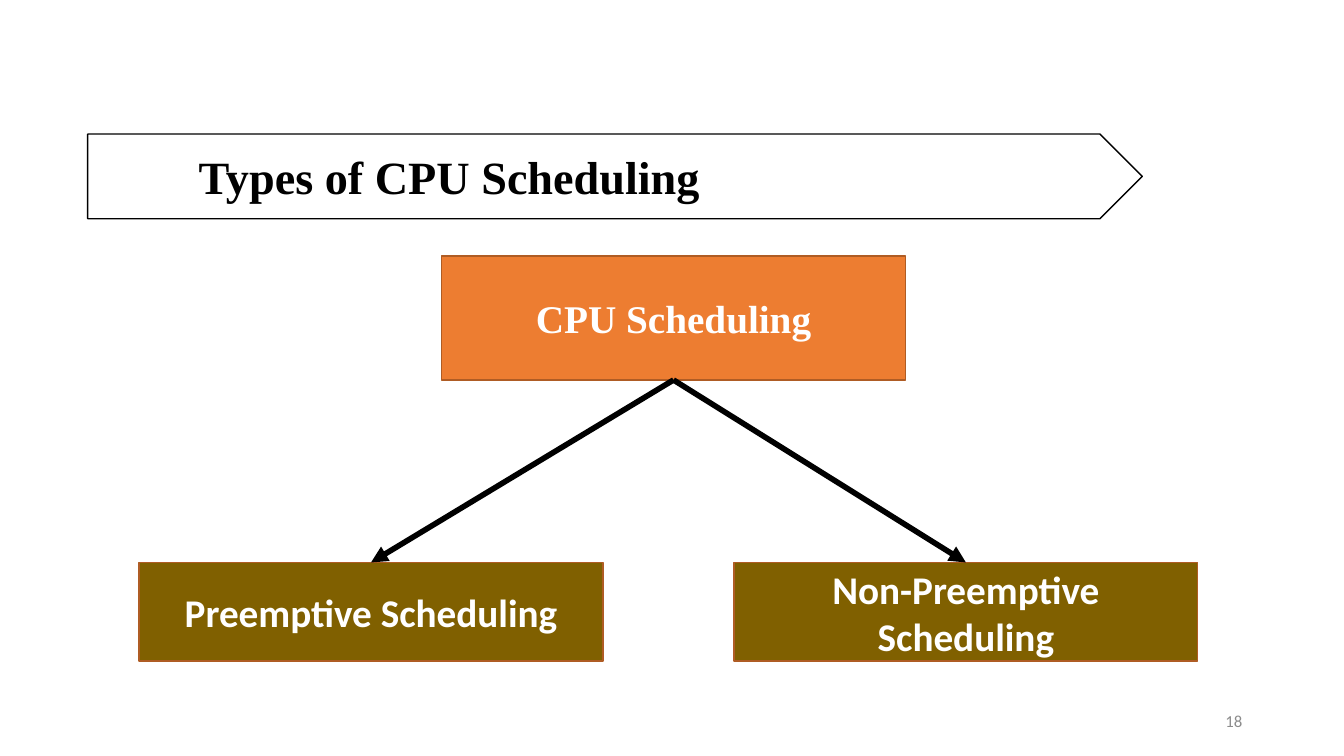
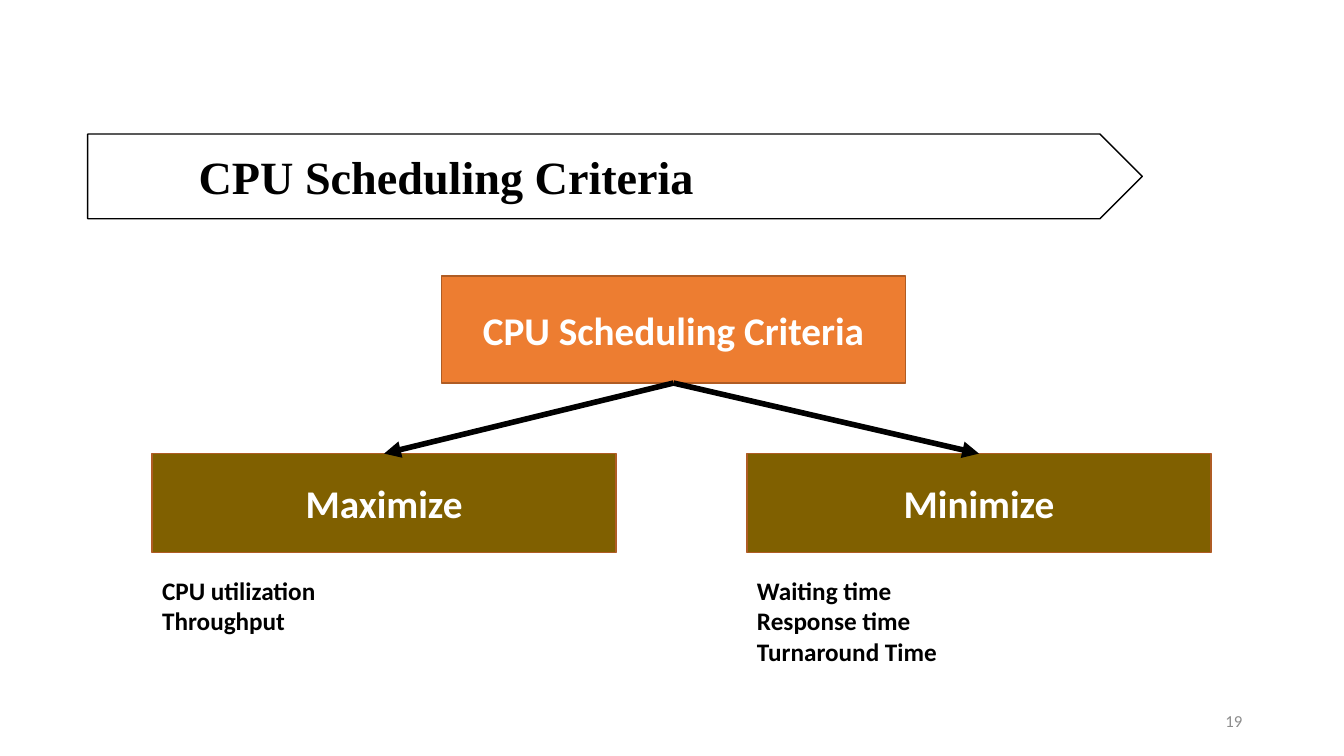
from pptx import Presentation
from pptx.dml.color import RGBColor
from pptx.enum.shapes import MSO_CONNECTOR, MSO_SHAPE
from pptx.enum.text import MSO_ANCHOR, PP_ALIGN
from pptx.oxml.ns import qn
from pptx.util import Inches, Pt
from lxml.etree import SubElement

SANS, SERIF = "Calibri", "Times New Roman"
BLACK, WHITE, GREY = "000000", "FFFFFF", "8C8C8C"
ORANGE, OLIVE, RUST = "ED7D31", "806000", "AF5C24"
BOX_W, LEAF_H, LEAF_STEP = 4.6, 0.98, 5.9
ROOT_X = 4.38


def color(code):
    return RGBColor.from_string(code)


def write(shape, lines, size, ink, font=SANS, bold=True,
          align=PP_ALIGN.LEFT, anchor=MSO_ANCHOR.MIDDLE):
    frame = shape.text_frame
    frame.word_wrap = True
    frame.vertical_anchor = anchor
    frame.text = "\n".join(lines)
    for para in frame.paragraphs:
        para.alignment = align
        para.font.name = font
        para.font.size = Pt(size)
        para.font.bold = bold
        para.font.color.rgb = color(ink)


def add_text(slide, box, lines, size, ink, **style):
    label = slide.shapes.add_textbox(*map(Inches, box))
    write(label, lines, size, ink, **style)


def add_block(slide, kind, box, fill, line):
    block = slide.shapes.add_shape(kind, *map(Inches, box))
    block.shadow.inherit = False
    block.fill.solid()
    block.fill.fore_color.rgb = color(fill)
    block.line.color.rgb = color(line)
    block.line.width = Pt(1)
    return block


def add_node(slide, box, text, fill, font=SANS):
    node = add_block(slide, MSO_SHAPE.RECTANGLE, box, fill, RUST)
    write(node, [text], 28, WHITE, font, align=PP_ALIGN.CENTER)
    return node


def add_arrow(slide, root, leaf):
    """Join the root's bottom to the leaf's top."""
    arrow = slide.shapes.add_connector(MSO_CONNECTOR.STRAIGHT, 0, 0, 0, 0)
    arrow.begin_connect(root, 2)
    arrow.end_connect(leaf, 0)
    arrow.line.color.rgb = color(BLACK)
    arrow.line.width = Pt(4)
    SubElement(arrow.line._get_or_add_ln(), qn("a:tailEnd"), type="triangle")
    SubElement(arrow._element.spPr, qn("a:effectLst"))


def add_frame(deck, title, number):
    """Start a slide with its title banner and page number."""
    slide = deck.slides.add_slide(deck.slide_layouts[6])
    banner = add_block(slide, MSO_SHAPE.PENTAGON, (0.87, 1.33, 10.46, 0.84),
                       WHITE, BLACK)
    write(banner, [title], 33, BLACK, SERIF)
    banner.text_frame.margin_left = Inches(1.1)
    add_text(slide, (9.42, 6.95, 3, 0.4), [str(number)], 12, GREY,
             bold=False, align=PP_ALIGN.RIGHT)
    return slide


def add_tree(slide, root_text, top, height, left, leaf_top, leaves, font=SANS):
    """Draw a root over evenly spaced leaves, each with optional notes below."""
    root = add_node(slide, (ROOT_X, top, BOX_W, height), root_text, ORANGE, font)
    for i, (text, notes) in enumerate(leaves):
        x = left + i * LEAF_STEP
        leaf = add_node(slide, (x, leaf_top, BOX_W, LEAF_H), text, OLIVE)
        add_arrow(slide, root, leaf)
        if notes:
            box = (x, leaf_top + 1.16, BOX_W, 0.1 + 0.3 * len(notes))
            add_text(slide, box, notes, 18, BLACK, anchor=MSO_ANCHOR.TOP)


def main():
    deck = Presentation()
    deck.slide_width, deck.slide_height = Inches(13.33), Inches(7.5)

    types = add_frame(deck, "Types of CPU Scheduling", 18)
    add_tree(types, "CPU Scheduling", 2.54, 1.23, 1.38, 5.58,
             [("Preemptive Scheduling", []),
              ("Non-Preemptive Scheduling", [])], SERIF)

    goals = add_frame(deck, "CPU Scheduling Criteria", 19)
    add_tree(goals, "CPU Scheduling Criteria", 2.74, 1.06, 1.51, 4.5,
             [("Maximize", ["CPU utilization", "Throughput"]),
              ("Minimize", ["Waiting time", "Response time",
                            "Turnaround Time"])])
    deck.save("out.pptx")


if __name__ == "__main__":
    main()
